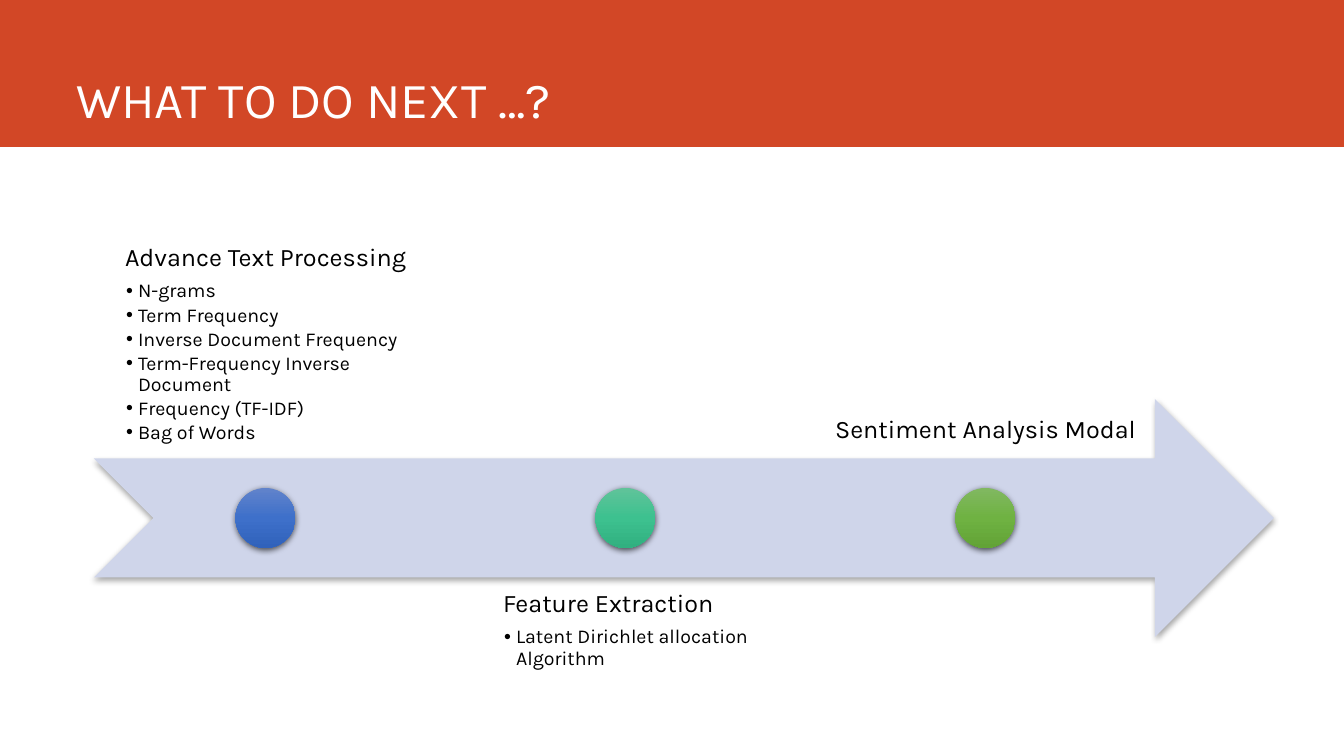
from copy import deepcopy

from pptx import Presentation
from pptx.dml.color import RGBColor
from pptx.enum.shapes import MSO_SHAPE
from pptx.enum.text import MSO_ANCHOR, MSO_AUTO_SIZE, PP_ALIGN
from pptx.oxml.xmlchemy import OxmlElement
from pptx.util import Emu, Pt

RECTANGLE, OVAL = MSO_SHAPE.RECTANGLE, MSO_SHAPE.OVAL
ARROW = MSO_SHAPE.NOTCHED_RIGHT_ARROW
TOP, BOTTOM = MSO_ANCHOR.TOP, MSO_ANCHOR.BOTTOM
LEFT, CENTER = PP_ALIGN.LEFT, PP_ALIGN.CENTER
NO_AUTOFIT = MSO_AUTO_SIZE.NONE

TITLE = "WHAT TO DO NEXT …?"
STEPS = [
    {"heading": "Advance Text Processing",
     "items": ["N-grams", "Term Frequency", "Inverse Document Frequency",
               "Term-Frequency Inverse Document", "Frequency (TF-IDF)",
               "Bag of Words"],
     "align": LEFT, "inset": 31, "colors": ["6183CB", "3E70CA", "3062BB"]},
    {"heading": "Feature Extraction",
     "items": ["Latent Dirichlet allocation Algorithm"],
     "align": LEFT, "inset": 49, "colors": ["60C39A", "3DC18F", "31B080"]},
    {"heading": "Sentiment Analysis Modal", "items": [],
     "align": CENTER, "inset": 14, "colors": ["81B861", "6FB242", "62A336"]},
]

FONT = "Karla"
COMPARISON_LAYOUT = 4
PX = 12700 * 72 / 100.8
SLIDE_W, SLIDE_H = 1344, 756
BANNER_H = 147
TITLE_BOX = (66, 0, 1185, 134)
ARROW_BOX = (94, 399, 1180, 238)
STEP_X, STEP_PITCH, STEP_W, STEP_H = 94, 360, 343, 238
ABOVE_Y, BELOW_Y = 220, 577
DOT = 60
INSET, BULLET_INDENT, BULLET_HANG = 14, 13, 12


def px(value):
    return Emu(round(value * PX))


def color(value):
    return RGBColor.from_string(value)


def place(shape, left, top, width, height):
    shape.left, shape.top = px(left), px(top)
    shape.width, shape.height = px(width), px(height)


def add_plain(page, kind, left, top, width, height):
    shape = page.shapes.add_shape(kind, px(left), px(top), px(width), px(height))
    shape.line.fill.background()
    shape.shadow.inherit = False
    return shape


def fill_solid(shape, value):
    shape.fill.solid()
    shape.fill.fore_color.rgb = color(value)


def fill_gradient(shape, values):
    shape.fill.gradient()
    shape.fill.gradient_angle = 270
    stops = shape.fill._fill._gradFill.gsLst
    stops.append(deepcopy(stops[0]))
    for stop, value, position in zip(shape.fill.gradient_stops, values, (0, 0.5, 1)):
        stop.color.rgb = color(value)
        stop.position = position


def add_shadow(shape, opacity, blur, distance):
    shadow = OxmlElement("a:outerShdw")
    shadow.set("blurRad", str(Pt(blur)))
    shadow.set("dist", str(Pt(distance)))
    shadow.set("dir", "5400000")
    shadow.set("rotWithShape", "0")
    tint = OxmlElement("a:srgbClr")
    tint.set("val", "000000")
    alpha = OxmlElement("a:alpha")
    alpha.set("val", str(opacity * 1000))
    tint.append(alpha)
    shadow.append(tint)
    shape._element.spPr.find(shadow.tag.replace("outerShdw", "effectLst")).append(shadow)


def style_text(para, size, value):
    for span in para.runs:
        span.font.name = FONT
        span.font.size = Pt(size)
        span.font.bold = False
        span.font.color.rgb = color(value)


def set_bullet(para, indent, hang, bullet):
    properties = para._p.get_or_add_pPr()
    properties.set("marL", str(px(indent)))
    properties.set("indent", str(-px(hang)))
    mark = OxmlElement("a:buChar" if bullet else "a:buNone")
    if bullet:
        mark.set("char", bullet)
    properties.append(mark)


def write_step(box, step, anchor):
    frame = box.text_frame
    frame.word_wrap = True
    frame.auto_size = NO_AUTOFIT
    frame.vertical_anchor = anchor
    frame.margin_left = px(step["inset"])
    frame.margin_right = frame.margin_top = frame.margin_bottom = px(INSET)
    frame.text = "\n".join([step["heading"], *step["items"]])
    for index, para in enumerate(frame.paragraphs):
        is_item = index > 0
        para.level = int(is_item)
        para.alignment = step["align"]
        para.line_spacing = 0.9
        para.space_before = Pt(0)
        para.space_after = Pt(2.1 if is_item else 6.3)
        if is_item:
            set_bullet(para, BULLET_INDENT, BULLET_HANG, "•")
        else:
            set_bullet(para, 0, 0, None)
        style_text(para, 14 if is_item else 18, "000000")


def main():
    deck = Presentation()
    deck.slide_width, deck.slide_height = px(SLIDE_W), px(SLIDE_H)
    page = deck.slides.add_slide(deck.slide_layouts[COMPARISON_LAYOUT])
    title, *boxes = page.placeholders
    spare = boxes.pop()._element
    spare.getparent().remove(spare)

    banner = add_plain(page, RECTANGLE, 0, 0, SLIDE_W, BANNER_H)
    fill_solid(banner, "D24726")
    arrow = add_plain(page, ARROW, *ARROW_BOX)
    fill_solid(arrow, "CFD5EA")
    add_shadow(arrow, 35, 3.1, 1.8)
    title._element.addprevious(banner._element)
    title._element.addnext(arrow._element)

    place(title, *TITLE_BOX)
    title.text_frame.text = TITLE
    title.text_frame.auto_size = NO_AUTOFIT
    title.text_frame.vertical_anchor = BOTTOM
    title.text_frame.paragraphs[0].alignment = LEFT
    style_text(title.text_frame.paragraphs[0], 36, "FFFFFF")

    dot_y = ARROW_BOX[1] + (ARROW_BOX[3] - DOT) / 2
    for index, (box, step) in enumerate(zip(boxes, STEPS)):
        left = STEP_X + index * STEP_PITCH
        is_below = index % 2 == 1
        place(box, left, BELOW_Y if is_below else ABOVE_Y, STEP_W, STEP_H)
        write_step(box, step, TOP if is_below else BOTTOM)
        dot = add_plain(page, OVAL, left + (STEP_W - DOT) / 2, dot_y, DOT, DOT)
        fill_gradient(dot, step["colors"])
        add_shadow(dot, 63, 4.5, 1.5)

    deck.save("out.pptx")


if __name__ == "__main__":
    main()
